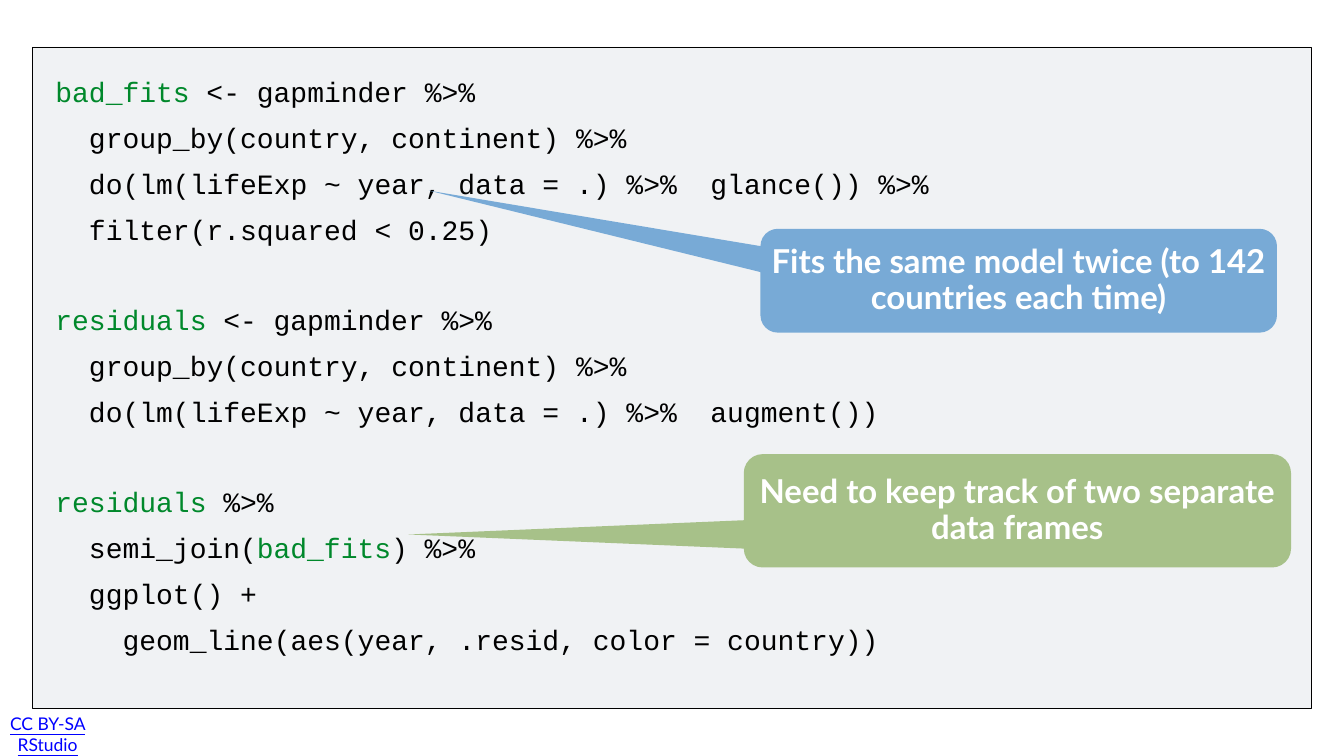
"""Build a slide of R code with two callouts on its drawbacks."""
from dataclasses import dataclass

from pptx import Presentation
from pptx.dml.color import RGBColor
from pptx.enum.shapes import MSO_SHAPE
from pptx.enum.text import MSO_ANCHOR, PP_ALIGN
from pptx.util import Inches, Pt


@dataclass(frozen=True)
class Theme:
    panel: str = "F0F2F4"
    ink: str = "000000"
    variable: str = "00882B"
    link: str = "0000FF"
    callout_text: str = "FFFFFF"
    blue: str = "78AAD6"
    green: str = "A7C189"
    code_font: str = "Courier New"
    label_font: str = "Lato"
    code_size: float = 40
    callout_size: float = 47
    licence_size: float = 25
    line_gap: float = 17.7
    block_gap: float = 80.7


CODE_BLOCKS = [
    [
        "|bad_fits| <- gapminder %>%",
        "  group_by(country, continent) %>%",
        "  do(lm(lifeExp ~ year, data = .) %>%  glance()) %>%",
        "  filter(r.squared < 0.25)",
    ],
    [
        "|residuals| <- gapminder %>%",
        "  group_by(country, continent) %>%",
        "  do(lm(lifeExp ~ year, data = .) %>%  augment())",
    ],
    [
        "|residuals| %>%",
        "  semi_join(|bad_fits|) %>%",
        "  ggplot() +",
        "    geom_line(aes(year, .resid, color = country))",
    ],
]


def write(paragraph, text, *, font, size, color, bold=False, underline=False):
    run = paragraph.add_run()
    run.text = text
    run.font.name = font
    run.font.size = Pt(size)
    run.font.color.rgb = RGBColor.from_string(color)
    run.font.bold = bold
    run.font.underline = underline


class SlideBuilder:
    def __init__(self, slide, theme):
        self.slide = slide
        self.theme = theme

    def frame(self, shape, inset, anchor):
        frame = shape.text_frame
        frame.word_wrap = True
        frame.vertical_anchor = anchor
        frame.margin_left = frame.margin_right = Inches(inset)
        frame.margin_top = frame.margin_bottom = Inches(inset)
        return frame

    def filled(self, kind, box, color):
        shape = self.slide.shapes.add_shape(kind, *map(Inches, box))
        shape.shadow.inherit = False
        shape.fill.solid()
        shape.fill.fore_color.rgb = RGBColor.from_string(color)
        shape.line.fill.background()
        return shape

    def panel(self, box):
        panel = self.filled(MSO_SHAPE.RECTANGLE, box, self.theme.panel)
        panel.line.color.rgb = RGBColor.from_string(self.theme.ink)
        panel.line.width = Pt(1)

    def code(self, box, blocks):
        theme = self.theme
        listing = self.slide.shapes.add_textbox(*map(Inches, box))
        frame = self.frame(listing, 0.06, MSO_ANCHOR.TOP)
        for block_number, block in enumerate(blocks):
            for line_number, line in enumerate(block):
                if block_number == line_number == 0:
                    paragraph = frame.paragraphs[0]
                else:
                    paragraph = frame.add_paragraph()
                    gap = theme.line_gap if line_number else theme.block_gap
                    paragraph.space_before = Pt(gap)
                for position, part in enumerate(line.split("|")):
                    if part:
                        color = theme.variable if position % 2 else theme.ink
                        write(paragraph, part, font=theme.code_font,
                              size=theme.code_size, color=color)

    def callout(self, box, text, color, tip):
        bubble = self.filled(MSO_SHAPE.ROUNDED_RECTANGULAR_CALLOUT, box, color)
        for index, value in enumerate((*tip, 0.167)):
            bubble.adjustments[index] = value
        paragraph = self.frame(bubble, 0.08, MSO_ANCHOR.MIDDLE).paragraphs[0]
        paragraph.alignment = PP_ALIGN.CENTER
        paragraph.line_spacing = 0.9
        write(paragraph, text, font=self.theme.label_font, bold=True,
              size=self.theme.callout_size, color=self.theme.callout_text)

    def licence(self, box, text):
        notice = self.slide.shapes.add_textbox(*map(Inches, box))
        paragraph = self.frame(notice, 0.08, MSO_ANCHOR.MIDDLE).paragraphs[0]
        paragraph.alignment = PP_ALIGN.CENTER
        write(paragraph, text, font=self.theme.label_font, underline=True,
              size=self.theme.licence_size, color=self.theme.link)


def main():
    deck = Presentation()
    deck.slide_width, deck.slide_height = Inches(26.67), Inches(15)
    theme = Theme()
    builder = SlideBuilder(deck.slides.add_slide(deck.slide_layouts[6]), theme)
    builder.licence((0.07, 14.06, 1.75, 1), "CC BY-SA RStudio")
    builder.panel((0.64, 0.93, 25.38, 13.13))
    builder.code((1.04, 1.42, 24.59, 12.32), CODE_BLOCKS)
    builder.callout((14.76, 9.01, 10.86, 2.25),
                    "Need to keep track of two separate data frames",
                    theme.green, tip=(-1.113, 0.209))
    builder.callout((15.09, 4.54, 10.25, 2.06),
                    "Fits the same model twice (to 142 countries each time)",
                    theme.blue, tip=(-1.142, -0.868))
    deck.save("out.pptx")


if __name__ == "__main__":
    main()
